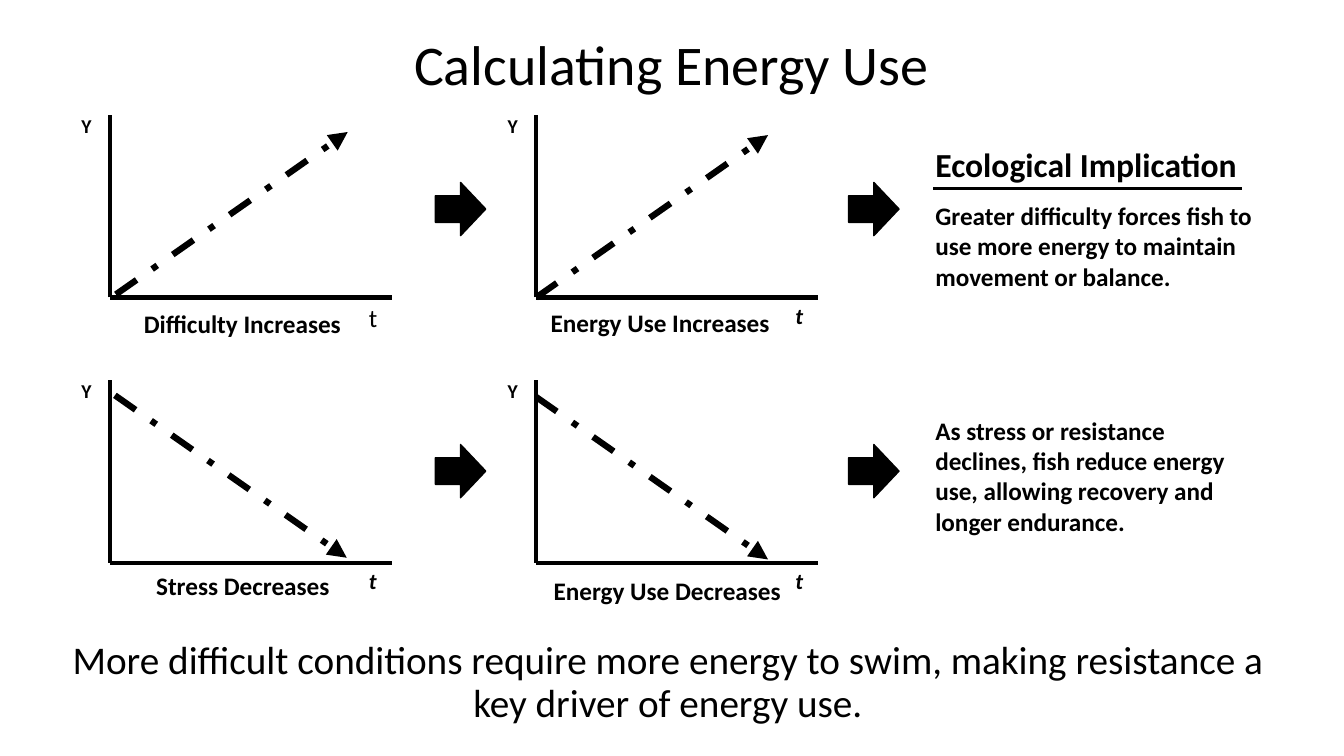
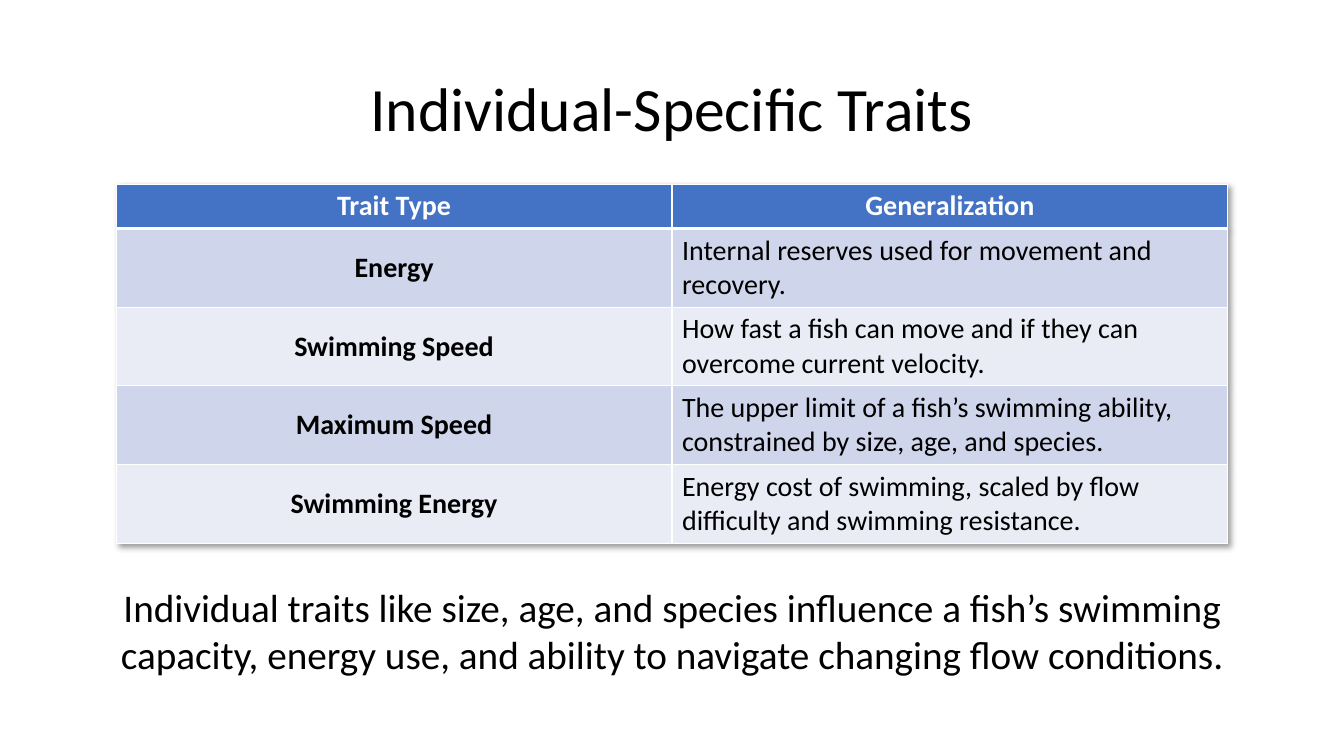
from lxml import etree
from pptx import Presentation
from pptx.dml.color import RGBColor
from pptx.enum.dml import MSO_LINE
from pptx.enum.shapes import MSO_CONNECTOR, MSO_SHAPE
from pptx.enum.text import MSO_ANCHOR, MSO_AUTO_SIZE, PP_ALIGN
from pptx.oxml import parse_xml
from pptx.oxml.ns import nsdecls, qn
from pptx.util import Pt

BLACK = RGBColor(0x00, 0x00, 0x00)
WHITE = RGBColor(0xFF, 0xFF, 0xFF)
HEADER_BLUE = RGBColor(0x44, 0x72, 0xC4)
BAND_DARK = RGBColor(0xCF, 0xD5, 0xEA)
BAND_LIGHT = RGBColor(0xE9, 0xEB, 0xF5)
FONT = "Calibri"
LEFT, CENTER = PP_ALIGN.LEFT, PP_ALIGN.CENTER
TOP, MIDDLE = MSO_ANCHOR.TOP, MSO_ANCHOR.MIDDLE
STRAIGHT = MSO_CONNECTOR.STRAIGHT
DASH_DOT = MSO_LINE.DASH_DOT
RIGHT_ARROW = MSO_SHAPE.RIGHT_ARROW
TITLE_ONLY = 5

AXIS_W, AXIS_H = 201.5, 130.5
TREND_W, TREND_H = 165.6, 116
ARROW_W, ARROW_H = 36, 38
ARROW_XS = (311, 606.2)
NOTE_X, NOTE_W = 661, 242.6

TRAITS = [
    ("Trait Type", "Generalization"),
    ("Energy", "Internal reserves used for movement and recovery."),
    ("Swimming Speed", "How fast a fish can move and if they can overcome current velocity."),
    ("Maximum Speed", "The upper limit of a fish’s swimming ability, constrained by size, age, and species."),
    ("Swimming Energy", "Energy cost of swimming, scaled by flow difficulty and swimming resistance."),
]


def write(tf, text, size, bold=False, italic=False, color=BLACK, align=LEFT, spacing=1.0):
    p = tf.paragraphs[0]
    p.alignment = align
    p.line_spacing = spacing
    r = p.add_run()
    r.text = text
    f = r.font
    f.name, f.size, f.bold, f.italic = FONT, Pt(size), bold, italic
    f.color.rgb = color


def add_text(s, box, text, size, anchor=TOP, **style):
    sp = s.shapes.add_textbox(*map(Pt, box))
    tf = sp.text_frame
    tf.word_wrap = True
    tf.vertical_anchor = anchor
    write(tf, text, size, **style)


def set_title(s, box, text, size):
    sp = s.shapes.title
    sp.left, sp.top, sp.width, sp.height = map(Pt, box)
    tf = sp.text_frame
    tf.auto_size = MSO_AUTO_SIZE.NONE
    tf.vertical_anchor = MIDDLE
    write(tf, text, size, align=CENTER, spacing=0.9)


def add_line(s, x1, y1, x2, y2, width):
    cn = s.shapes.add_connector(STRAIGHT, Pt(x1), Pt(y1), Pt(x2), Pt(y2))
    cn.line.color.rgb = BLACK
    cn.line.width = Pt(width)
    etree.SubElement(cn.element.spPr, qn("a:effectLst"))
    return cn


def add_trend(s, x, y, dy):
    cn = add_line(s, x, y, x + TREND_W, y + dy, 4.5)
    cn.line.dash_style = DASH_DOT
    ln = cn.element.spPr.find(qn("a:ln"))
    etree.SubElement(ln, qn("a:tailEnd"), type="triangle")


def add_block_arrow(s, x, y):
    sp = s.shapes.add_shape(RIGHT_ARROW, Pt(x), Pt(y), Pt(ARROW_W), Pt(ARROW_H))
    sp.shadow.inherit = False
    sp.fill.solid()
    sp.fill.fore_color.rgb = BLACK
    sp.line.color.rgb = BLACK
    sp.line.width = Pt(1)


def sketch_graph(s, x, y, caption, caption_at, trend_at, rising, plain_t=False):
    """Draw axes, trend and labels; caption_at and trend_at are offsets inside the graph."""
    base = y + AXIS_H
    add_line(s, x, base, x, y, 3)
    add_line(s, x, base, x + AXIS_W, base, 3)
    add_trend(s, x + trend_at[0], y + trend_at[1], -TREND_H if rising else TREND_H)
    add_text(s, (x - 27.5, y - 4.3, 40, 32), "Y", 14, bold=True)
    add_text(s, (x + 178, base, 30, 28), "t", 18 if plain_t else 16,
             bold=not plain_t, italic=not plain_t)
    mid, drop = caption_at
    add_text(s, (x + mid - 100, base + drop, 200, 29), caption, 18, bold=True, align=CENTER)


def flow_row(s, y, arrow_y, note_y, note, rising, graphs):
    """Place two graphs, the arrows after them and the concluding note."""
    for x, graph in zip((78.5, 383), graphs):
        sketch_graph(s, x, y, rising=rising, **graph)
    for x in ARROW_XS:
        add_block_arrow(s, x, arrow_y)
    add_text(s, (NOTE_X, note_y, NOTE_W, 80), note, 18, bold=True)


def energy_slide(prs):
    s = prs.slides.add_slide(prs.slide_layouts[TITLE_ONLY])
    set_title(s, (34.5, 0, 890, 96), "Calculating Energy Use", 40)
    add_text(s, (NOTE_X, 99.4, 240, 36), "Ecological Implication", 24, bold=True)
    add_line(s, NOTE_X + 5.7, 134.6, NOTE_X + 226, 134.6, 2.25)
    flow_row(s, 82, 130.3, 139.7,
             "Greater difficulty forces fish to use more energy to maintain movement or balance.",
             True, [
                 dict(caption="Difficulty Increases", caption_at=(94.7, 4.3),
                      trend_at=(4.3, 128.3), plain_t=True),
                 dict(caption="Energy Use Increases", caption_at=(88.6, 3.6),
                      trend_at=(0, 130.5)),
             ])
    flow_row(s, 271.4, 317.5, 293,
             "As stress or resistance declines, fish reduce energy use, "
             "allowing recovery and longer endurance.",
             False, [
                 dict(caption="Stress Decreases", caption_at=(95, 2), trend_at=(3.6, 11)),
                 dict(caption="Energy Use Decreases", caption_at=(93.6, 5.8),
                      trend_at=(0, 12.2)),
             ])
    add_text(s, (34.5, 436, 885, 104),
             "More difficult conditions require more energy to swim, "
             "making resistance a key driver of energy use.",
             28, anchor=MIDDLE, align=CENTER, spacing=0.9)


def set_borders(cell, **widths):
    tcPr = cell._tc.get_or_add_tcPr()
    for side in "LRTB":
        tcPr.append(parse_xml(
            f'<a:ln{side} {nsdecls("a")} w="{Pt(widths.get(side, 1))}">'
            f'<a:solidFill><a:srgbClr val="{WHITE}"/></a:solidFill></a:ln{side}>'))


def traits_table(s, x, y, width):
    frame = s.shapes.add_table(len(TRAITS), 2, Pt(x), Pt(y), Pt(width), Pt(256))
    table = frame.table
    table.first_row = table.horz_banding = True
    table._tbl.tblPr.insert(0, parse_xml(
        f'<a:effectLst {nsdecls("a")}><a:outerShdw blurRad="50800" dist="38100" dir="2700000">'
        f'<a:srgbClr val="{BLACK}"><a:alpha val="40000"/></a:srgbClr></a:outerShdw></a:effectLst>'))
    for i, texts in enumerate(TRAITS):
        header = i == 0
        table.rows[i].height = Pt(31.6 if header else 56.2)
        for j, text in enumerate(texts):
            cell = table.cell(i, j)
            set_borders(cell, T=3 if i == 1 else 1, B=3 if header else 1)
            cell.fill.solid()
            cell.fill.fore_color.rgb = HEADER_BLUE if header else BAND_DARK if i % 2 else BAND_LIGHT
            cell.vertical_anchor = MIDDLE
            label = header or j == 0
            write(cell.text_frame, text, 20, bold=label, color=WHITE if header else BLACK,
                  align=CENTER if label else LEFT)


def traits_slide(prs):
    s = prs.slides.add_slide(prs.slide_layouts[TITLE_ONLY])
    set_title(s, (66, 27.5, 828, 104), "Individual-Specific Traits", 44)
    traits_table(s, 83, 131.5, 794)
    add_text(s, (32.5, 413.3, 895, 75),
             "Individual traits like size, age, and species influence a fish’s swimming "
             "capacity, energy use, and ability to navigate changing flow conditions.",
             28, align=CENTER)


def main():
    prs = Presentation()
    prs.slide_width, prs.slide_height = Pt(960), Pt(540)
    energy_slide(prs)
    traits_slide(prs)
    prs.save("out.pptx")


if __name__ == "__main__":
    main()
